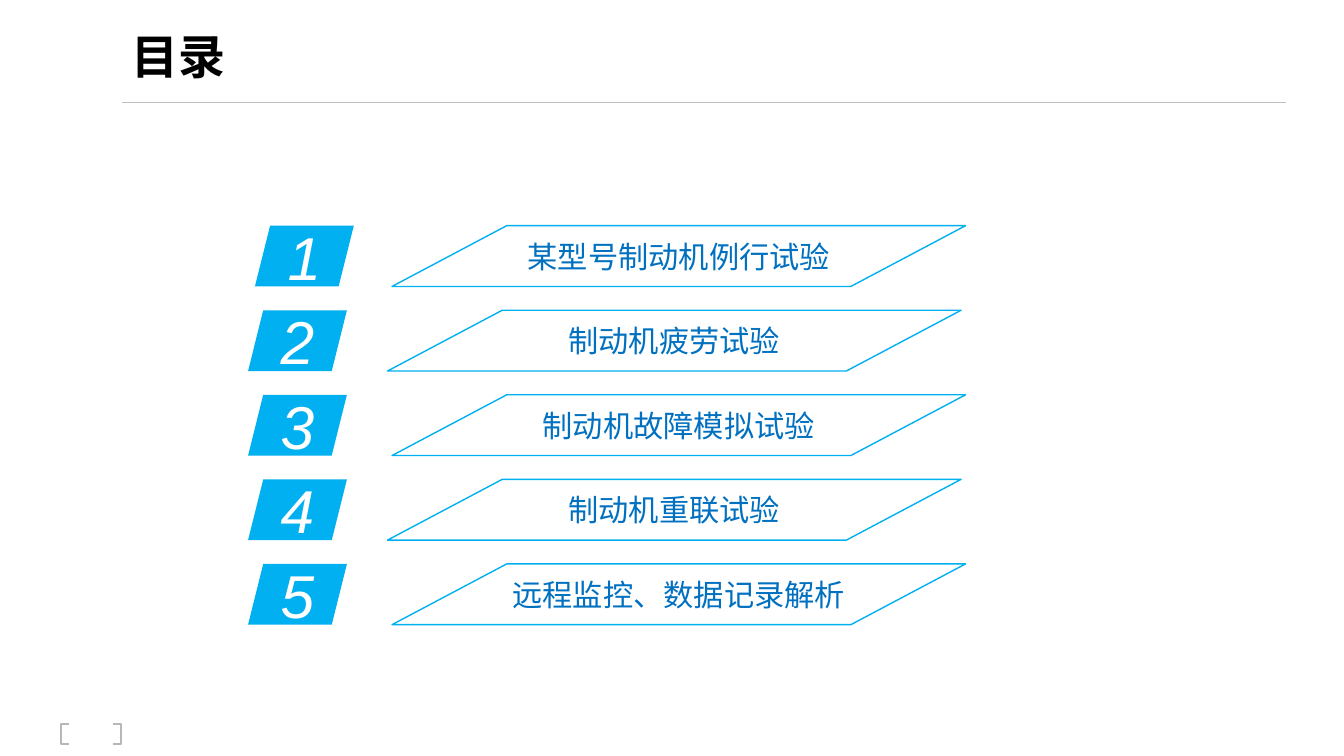
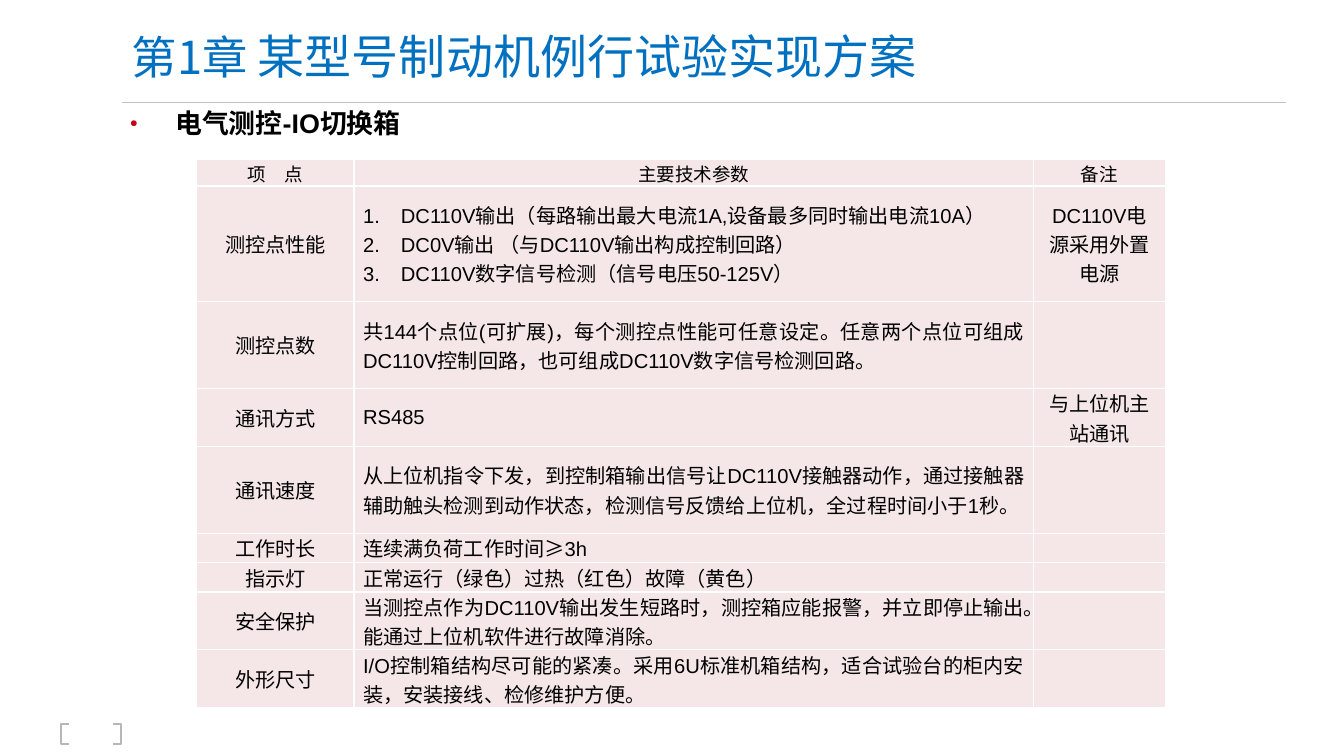
from collections import namedtuple

from lxml import etree
from pptx import Presentation
from pptx.dml.color import RGBColor
from pptx.enum.shapes import MSO_CONNECTOR, MSO_SHAPE
from pptx.enum.text import MSO_ANCHOR, PP_ALIGN
from pptx.oxml.ns import qn
from pptx.util import Pt

STRAIGHT = MSO_CONNECTOR.STRAIGHT
BAR = MSO_SHAPE.FLOWCHART_DATA
BADGE = MSO_SHAPE.PARALLELOGRAM
BRACKETS = (MSO_SHAPE.LEFT_BRACKET, MSO_SHAPE.RIGHT_BRACKET)
MIDDLE, TOP = MSO_ANCHOR.MIDDLE, MSO_ANCHOR.TOP
LEFT, CENTER, JUSTIFY = PP_ALIGN.LEFT, PP_ALIGN.CENTER, PP_ALIGN.JUSTIFY

LATIN, CHINESE = "Arial", "Noto Sans CJK SC"
COLORS = {
    "black": "000000", "white": "FFFFFF", "blue": "0070C0", "cyan": "00B0F0",
    "rule": "C0C0C0", "bracket": "B9B6B5", "bullet": "C70019", "cell": "F5E7E8",
}

Box = namedtuple("Box", "left top width height")
TITLE_BOX = Box(87.1, 7.2, 831.6, 65.7)
FOOTER_BOX = Box(43.4, 517, 43.2, 14.4)
AGENDA_BOX = Box(177.2, 161.2, 512.5, 285)
SUBTITLE_BOX = Box(85.7, 72.7, 789, 46.8)
TABLE_BOX = Box(140.6, 114, 691.9, 391.2)

AGENDA = ["某型号制动机例行试验", "制动机疲劳试验", "制动机故障模拟试验",
          "制动机重联试验", "远程监控、数据记录解析"]

HEADINGS = ("项　点", "主要技术参数", "备注")
PARAMETERS = [
    ("测控点性能",
     ["DC110V输出（每路输出最大电流1A,设备最多同时输出电流10A）",
      "DC0V输出 （与DC110V输出构成控制回路）",
      "DC110V数字信号检测（信号电压50-125V）"],
     "DC110V电源采用外置电源"),
    ("测控点数",
     ["共144个点位(可扩展)，每个测控点性能可任意设定。任意两个点位可组成DC110V控制回路，也可组成DC110V数字信号检测回路。"], ""),
    ("通讯方式", ["RS485"], "与上位机主站通讯"),
    ("通讯速度",
     ["从上位机指令下发，到控制箱输出信号让DC110V接触器动作，通过接触器辅助触头检测到动作状态，检测信号反馈给上位机，全过程时间小于1秒。"], ""),
    ("工作时长", ["连续满负荷工作时间≥3h"], ""),
    ("指示灯", ["正常运行（绿色）过热（红色）故障（黄色）"], ""),
    ("安全保护",
     ["当测控点作为DC110V输出发生短路时，测控箱应能报警，并立即停止输出。能通过上位机软件进行故障消除。"], ""),
    ("外形尺寸",
     ["I/O控制箱结构尽可能的紧凑。采用6U标准机箱结构，适合试验台的柜内安装，安装接线、检修维护方便。"], ""),
]
COLUMN_WIDTHS = (112.3, 485.3, 94.3)
ROW_HEIGHTS = (18.9, 82.6, 62, 41.4, 62.2, 20.9, 20.9, 41.4, 41.4)


def rgb(name):
    return RGBColor.from_string(COLORS[name])


def points(box):
    return [Pt(length) for length in box]


def write(para, text, size=14.4, color="black", latin=LATIN,
          bold=False, italic=False, align=LEFT):
    para.alignment = align
    if not text:
        ending = etree.SubElement(para._p, qn("a:endParaRPr"))
        ending.set("sz", str(round(size * 100)))
        return
    span = para.add_run()
    span.text = text
    font = span.font
    font.size, font.bold, font.italic = Pt(size), bold, italic
    font.color.rgb = rgb(color)
    font.name = latin
    etree.SubElement(span._r.get_or_add_rPr(), qn("a:ea")).set("typeface", CHINESE)


def add_bullet(para, indent, marks):
    properties = para._p.get_or_add_pPr()
    properties.set("marL", str(Pt(indent)))
    properties.set("indent", str(-Pt(indent)))
    for tag, attribute, value in marks:
        etree.SubElement(properties, qn(tag)).set(attribute, value)


def add_text_box(page, box, anchor):
    frame = page.shapes.add_textbox(*points(box)).text_frame
    frame.word_wrap = True
    frame.vertical_anchor = anchor
    return frame.paragraphs[0]


def add_shape(page, kind, box, fill=None, line=None, line_width=1):
    shape = page.shapes.add_shape(kind, *points(box))
    shape.shadow.inherit = False
    if fill:
        shape.fill.solid()
        shape.fill.fore_color.rgb = rgb(fill)
    else:
        shape.fill.background()
    if line:
        shape.line.color.rgb = rgb(line)
        shape.line.width = Pt(line_width)
    else:
        shape.line.fill.background()
    return shape


def add_label(page, kind, box, text, fill, line=None, **text_format):
    frame = add_shape(page, kind, box, fill, line).text_frame
    frame.word_wrap = False
    frame.vertical_anchor = MIDDLE
    frame.margin_left = frame.margin_right = Pt(8.6)
    frame.margin_top = frame.margin_bottom = Pt(4.3)
    write(frame.paragraphs[0], text, align=CENTER, **text_format)


def add_page(deck, title_parts):
    page = deck.slides.add_slide(deck.slide_layouts[6])
    left, top, width, height = TITLE_BOX
    base = top + height
    rule = page.shapes.add_connector(
        STRAIGHT, Pt(left), Pt(base), Pt(left + width), Pt(base))
    rule.line.color.rgb = rgb("rule")
    rule.line.width = Pt(0.25)
    etree.SubElement(rule._element.spPr, qn("a:effectLst"))
    add_footer(page, FOOTER_BOX)
    para = add_text_box(page, TITLE_BOX, MIDDLE)
    for text, text_format in title_parts:
        write(para, text, **text_format)
    return page


def add_footer(page, box):
    arm = 5.8
    for kind, left in zip(BRACKETS, (box.left, box.left + box.width - arm)):
        bracket = add_shape(page, kind, Box(left, box.top, arm, box.height),
                            line="bracket", line_width=1.5)
        bracket.adjustments[0] = 0


def add_agenda(page, box):
    row_height, badge_width, bar_width = 43.4, 70.6, 409.7
    step = (box.height - row_height) / (len(AGENDA) - 1)
    bar_left = box.left + box.width - bar_width
    for index, text in enumerate(AGENDA):
        top = box.top + index * step
        badge_shift = 4.9 if index == 0 else 0
        bar_shift = 0 if index % 2 == 0 else -3.2
        add_label(page, BAR, Box(bar_left + bar_shift, top, bar_width, row_height),
                  text, "white", "cyan", size=21.6, color="blue")
        add_label(page, BADGE, Box(box.left + badge_shift, top, badge_width, row_height),
                  str(index + 1), "cyan", size=43.2, color="white", italic=True)


def add_subtitle(page, box, text):
    para = add_text_box(page, box, TOP)
    add_bullet(para, 32.4, [("a:buSzPct", "val", "50000"),
                            ("a:buFont", "typeface", LATIN),
                            ("a:buChar", "char", "●")])
    color = etree.Element(qn("a:buClr"))
    etree.SubElement(color, qn("a:srgbClr")).set("val", COLORS["bullet"])
    para._p.get_or_add_pPr().insert(0, color)
    write(para, text, size=19.2, bold=True)


def style_cell(cell, side_margin):
    properties = cell._tc.get_or_add_tcPr()
    for side in ("a:lnL", "a:lnR", "a:lnT", "a:lnB"):
        border = etree.SubElement(properties, qn(side), w=str(Pt(1)))
        fill = etree.SubElement(border, qn("a:solidFill"))
        etree.SubElement(fill, qn("a:srgbClr"), val=COLORS["white"])
    cell.fill.solid()
    cell.fill.fore_color.rgb = rgb("cell")
    cell.vertical_anchor = MIDDLE
    cell.margin_left = cell.margin_right = Pt(side_margin)
    cell.margin_top = cell.margin_bottom = 0


def fill_cell(cell, lines, **text_format):
    frame = cell.text_frame
    for index, text in enumerate(lines):
        para = frame.add_paragraph() if index else frame.paragraphs[0]
        if len(lines) > 1:
            add_bullet(para, 27, [("a:buFont", "typeface", LATIN),
                                  ("a:buAutoNum", "type", "arabicPeriod")])
        write(para, text, **text_format)


def add_parameter_table(page, box):
    rows = [HEADINGS] + PARAMETERS
    table = page.shapes.add_table(len(rows), len(HEADINGS), *points(box)).table
    table.first_row = table.horz_banding = False
    for column, width in zip(table.columns, COLUMN_WIDTHS):
        column.width = Pt(width)
    for row, height in zip(table.rows, ROW_HEIGHTS):
        row.height = Pt(height)
    for row_index, row in enumerate(rows):
        for column_index, content in enumerate(row):
            cell = table.cell(row_index, column_index)
            style_cell(cell, 6.5 if column_index else 1.4)
            lines = content if isinstance(content, list) else [content]
            if row_index == 0:
                fill_cell(cell, lines, size=13.2, latin=CHINESE, align=CENTER)
            else:
                fill_cell(cell, lines, align=JUSTIFY if column_index == 1 else CENTER)


def main():
    deck = Presentation()
    deck.slide_width, deck.slide_height = Pt(960), Pt(540)

    agenda_page = add_page(deck, [("目录", {"size": 33.6, "bold": True})])
    add_agenda(agenda_page, AGENDA_BOX)

    chapter_page = add_page(deck, [
        ("第1章 ", {"size": 32.4, "color": "blue", "latin": CHINESE}),
        ("某型号制动机例行试验实现方案", {"size": 33.6, "color": "blue"}),
    ])
    add_subtitle(chapter_page, SUBTITLE_BOX, "电气测控-IO切换箱")
    add_parameter_table(chapter_page, TABLE_BOX)

    deck.save("out.pptx")


if __name__ == "__main__":
    main()
